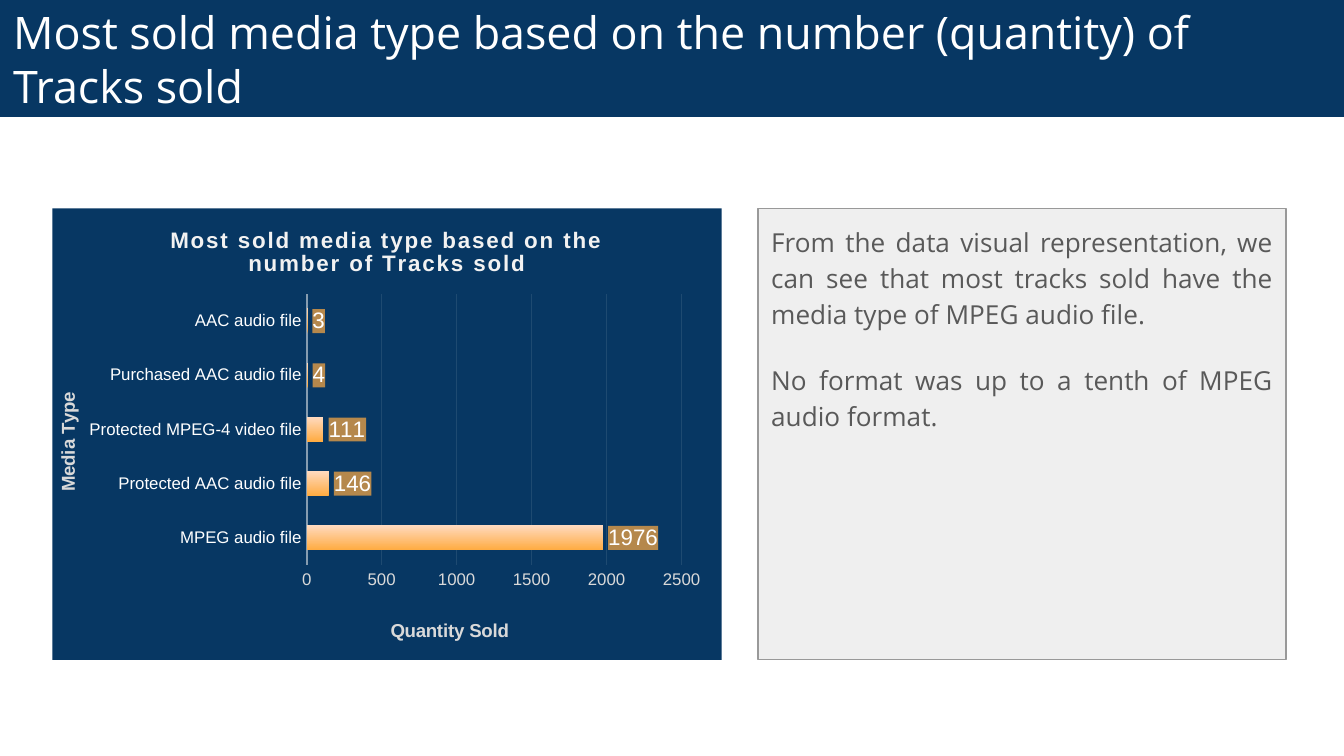
"""Build a slide with a bar chart of media types sold and a commentary panel."""
from lxml import etree
from pptx import Presentation
from pptx import util as u
from pptx.chart.data import CategoryChartData
from pptx.dml.color import RGBColor
from pptx.enum import chart as ch, shapes, text
from pptx.oxml import parse_xml
from pptx.oxml.ns import nsdecls, qn

COLORS = {
    "navy": "073763", "white": "FFFFFF", "panel": "EFEFEF", "border": "999999",
    "body": "595959", "light": "F2F2F2", "muted": "D9D9D9", "axis": "869CB0",
    "grid": "1E4A71", "orange": "FFAB40", "peach": "FFDAC0", "label": "B5884C",
}


def write(p, words, font="Arial", size=10, color="white", bold=False, spacing=0):
    r = p.add_run()
    r.text = words
    r.font.name, r.font.size, r.font.bold = font, u.Pt(size), bold
    r.font.color.rgb = RGBColor.from_string(COLORS[color])
    if spacing:
        r._r.get_or_add_rPr().set("spc", str(spacing))


def place(parent, index, **values):
    for old in parent.findall(qn("c:layout")):
        parent.remove(old)
    layout = etree.Element(qn("c:layout"))
    manual = etree.SubElement(layout, qn("c:manualLayout"))
    for name, value in values.items():
        etree.SubElement(manual, qn("c:" + name)).set("val", str(value))
    parent.insert(index, layout)


prs = Presentation()
prs.slide_width, prs.slide_height = u.Inches(10), u.Inches(10 * 9 / 16)
s = prs.slides.add_slide(prs.slide_layouts[6])

panels = [
    ((5.64, 1.55, 3.93, 3.36), "panel", "border", text.MSO_ANCHOR.TOP),
    ((0, 0, 10, 0.87), "navy", None, text.MSO_ANCHOR.MIDDLE),
]
frames = []
for box, fill, line, anchor in panels:
    sp = s.shapes.add_shape(shapes.MSO_SHAPE.RECTANGLE, *map(u.Inches, box))
    sp.shadow.inherit = False
    sp.fill.solid()
    sp.fill.fore_color.rgb = RGBColor.from_string(COLORS[fill])
    if line:
        sp.line.color.rgb = RGBColor.from_string(COLORS[line])
        sp.line.width = u.Pt(0.75)
    else:
        sp.line.fill.background()
    tf = sp.text_frame
    tf.word_wrap, tf.vertical_anchor = True, anchor
    tf.margin_left = tf.margin_right = tf.margin_top = tf.margin_bottom = u.Inches(0.1)
    frames.append(tf)
body, heading = frames

heading.paragraphs[0].alignment = text.PP_ALIGN.LEFT
write(heading.paragraphs[0],
      "Most sold media type based on the number (quantity) of Tracks sold",
      font="Open Sans", size=24)

comments = [
    "From the data visual representation, we can see that most tracks sold "
    "have the media type of MPEG audio file.",
    "No format was up to a tenth of MPEG audio format.",
]
for i, comment in enumerate(comments):
    p = body.add_paragraph() if i else body.paragraphs[0]
    p.alignment = text.PP_ALIGN.JUSTIFY
    p.line_spacing, p.space_after = 1.15, u.Pt(16)
    write(p, comment, font="Open Sans", size=14, color="body")

data = CategoryChartData()
data.categories = ["MPEG audio file", "Protected AAC audio file",
                   "Protected MPEG-4 video file", "Purchased AAC audio file",
                   "AAC audio file"]
data.add_series("Series 1", (1976, 146, 111, 4, 3))
chart = s.shapes.add_chart(ch.XL_CHART_TYPE.BAR_CLUSTERED,
                           *map(u.Inches, (0.39, 1.55, 4.98, 3.36)), data).chart
chart.has_legend = False
chart.font.name, chart.font.size = "Arial", u.Pt(10)

cat, val = chart.category_axis, chart.value_axis
titles = [
    (chart, "Most sold media type based on the number of Tracks sold",
     12, "light", 100, 0.17, 0.03),
    (cat, "Media Type", 10, "muted", 0, 0, 0.4),
    (val, "Quantity Sold", 10, "muted", 0, 0.5, 0.9),
]
for owner, words, size, color, spacing, x, y in titles:
    title = owner.chart_title if owner is chart else owner.axis_title
    p = title.text_frame.paragraphs[0]
    p.alignment = text.PP_ALIGN.CENTER
    write(p, words, size=size, color=color, bold=True, spacing=spacing)
    if owner is cat:
        title.text_frame._txBody.bodyPr.set("rot", "-5400000")
    place(title._element, 1, xMode="edge", yMode="edge", x=x, y=y)
place(chart._chartSpace.find(".//" + qn("c:plotArea")), 0, layoutTarget="inner",
      xMode="edge", yMode="edge", x=0.38, y=0.19, w=0.56, h=0.6)

for axis, color in ((cat, "white"), (val, "muted")):
    axis.major_tick_mark = axis.minor_tick_mark = ch.XL_TICK_MARK.NONE
    font = axis.tick_labels.font
    font.name, font.size = "Arial", u.Pt(9)
    font.color.rgb = RGBColor.from_string(COLORS[color])
cat.has_major_gridlines = False
cat.format.line.color.rgb = RGBColor.from_string(COLORS["axis"])
cat.format.line.width = u.Pt(1)
val.minimum_scale, val.maximum_scale, val.major_unit = 0, 2500, 500
val.format.line.fill.background()
grid = val.major_gridlines.format.line
grid.color.rgb = RGBColor.from_string(COLORS["grid"])
grid.width = u.Pt(0.75)

plot = chart.plots[0]
plot.gap_width, plot.overlap, plot.vary_by_categories = 115, -20, False
series = plot.series[0]
fill = series.format.fill
fill.gradient()
fill.gradient_angle = 90
for stop, color in zip(fill.gradient_stops, ("orange", "peach")):
    stop.color.rgb = RGBColor.from_string(COLORS[color])
labels = series.data_labels
labels.show_value = True
labels.position = ch.XL_LABEL_POSITION.OUTSIDE_END
labels.font.name, labels.font.size = "Arial", u.Pt(12)
labels.font.color.rgb = RGBColor.from_string(COLORS["white"])

for parent, color in ((chart._chartSpace, "navy"), (labels._element, "label")):
    parent.find(qn("c:txPr")).addprevious(parse_xml(
        f'<c:spPr {nsdecls("c", "a")}><a:solidFill><a:srgbClr val="{COLORS[color]}"/>'
        '</a:solidFill><a:ln><a:noFill/></a:ln></c:spPr>'))

prs.save("out.pptx")
